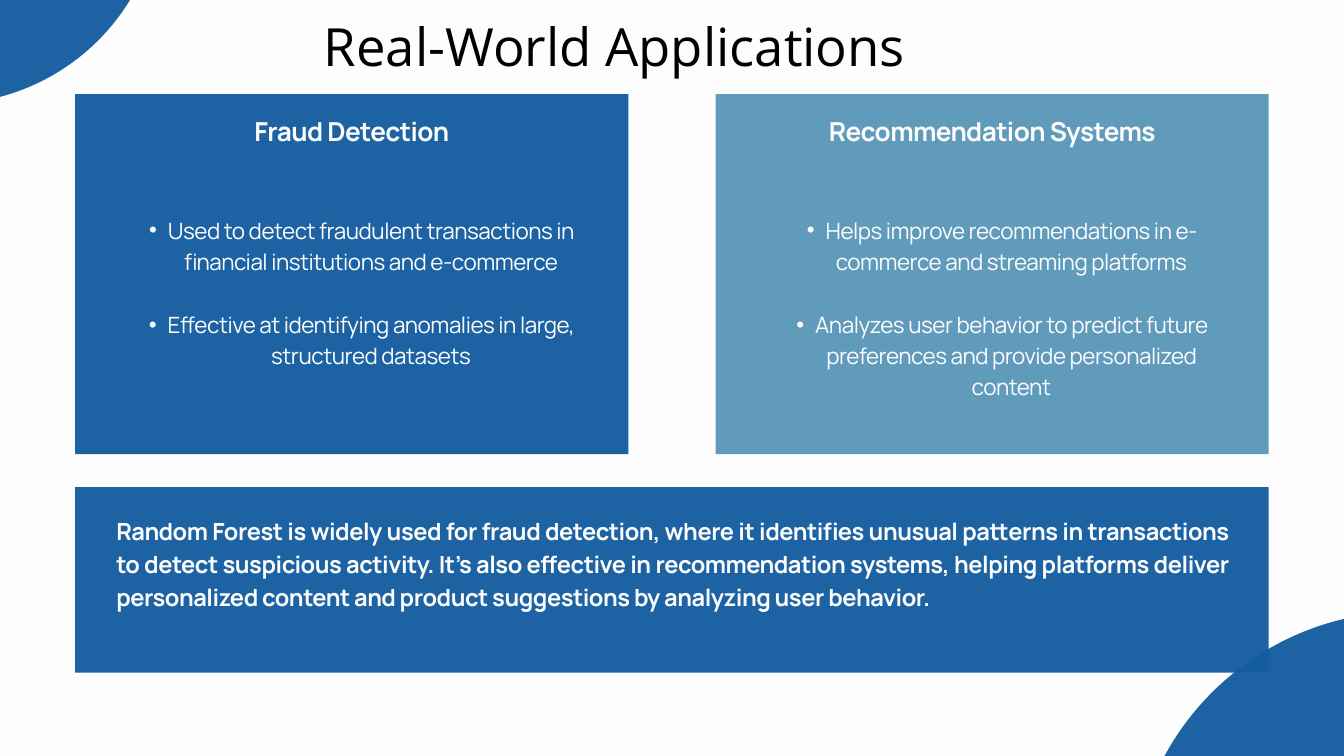
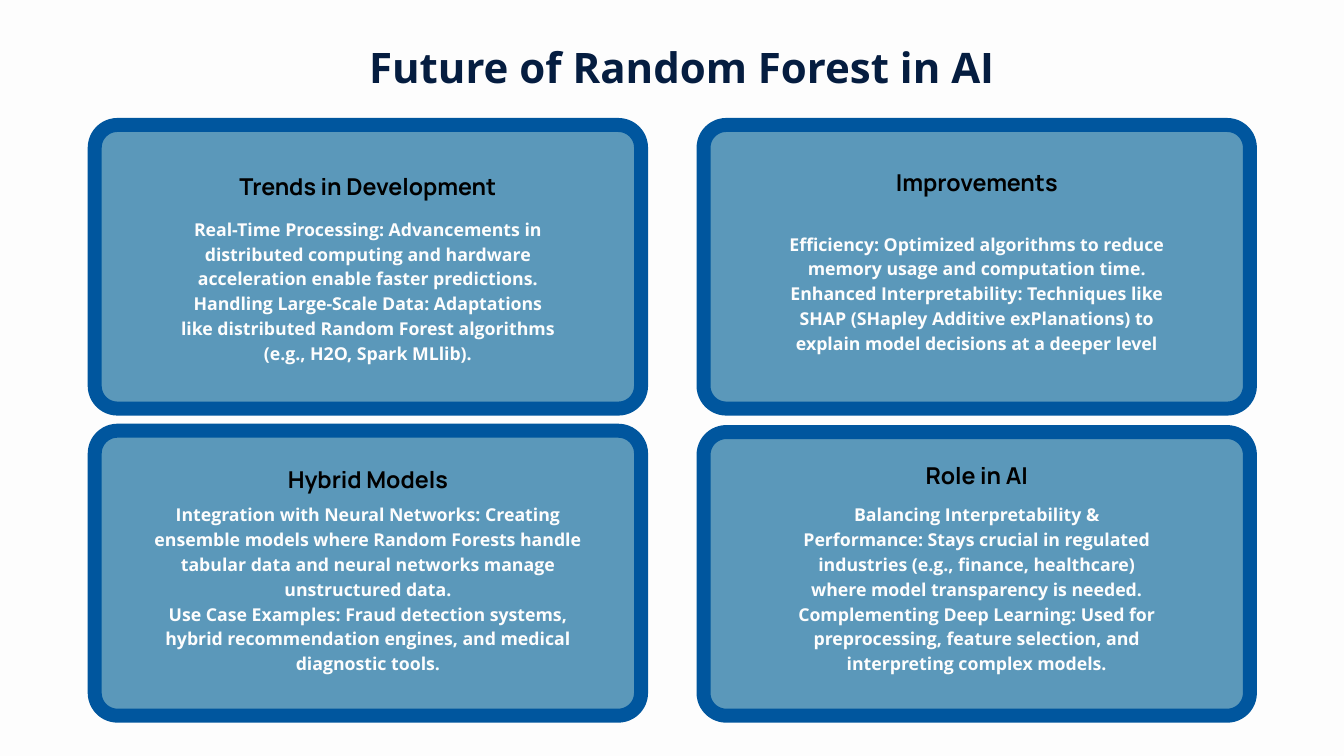
from lxml.etree import SubElement
from pptx import Presentation
from pptx.dml.color import RGBColor
from pptx.enum.shapes import MSO_SHAPE
from pptx.enum.text import MSO_ANCHOR, MSO_AUTO_SIZE, PP_ALIGN
from pptx.oxml.ns import qn
from pptx.util import Inches, Pt

# Shared colours and fonts
BLUE, LIGHT_BLUE, BORDER = "145DA0", "5B98BA", "00569E"
NAVY, BLACK, WHITE = "051D40", "000000", "FDFDFD"
TEXT_FONT, TITLE_FONT = "Manrope", "Open Sans"

TWO_CONTENT, TITLE_ONLY = 3, 5
CARD_WIDTH, CARD_HEIGHT, CARD_TOP = 8.23, 5.36, 1.4
LIST_WIDTH = 7.19
PANEL_WIDTH = 8.13

CARDS = [
    (1.12, BLUE, "Fraud Detection", [
        "Used to detect fraudulent transactions in financial institutions and e-commerce",
        "Effective at identifying anomalies in large, structured datasets"]),
    (10.65, LIGHT_BLUE, "Recommendation Systems", [
        "Helps improve recommendations in e-commerce and streaming platforms",
        "Analyzes user behavior to predict future preferences and provide personalized content"]),
]
SUMMARY = (
    "Random Forest is widely used for fraud detection, where it identifies unusual patterns "
    "in transactions to detect suspicious activity. It’s also effective in recommendation "
    "systems, helping platforms deliver personalized content and product suggestions by "
    "analyzing user behavior.")

# Panel left, top, height; heading and its top; body top, width and paragraphs
PANELS = [
    (1.41, 1.86, 4.22, "Trends in Development", 2.49, 3.2, 5.72, [
        "Real-Time Processing: Advancements in distributed computing and hardware "
        "acceleration enable faster predictions.",
        "Handling Large-Scale Data: Adaptations like distributed Random Forest "
        "algorithms (e.g., H2O, Spark MLlib)."]),
    (10.47, 1.86, 4.22, "Improvements", 2.43, 3.42, 5.92, [
        "Efficiency: Optimized algorithms to reduce memory usage and computation time.",
        "Enhanced Interpretability: Techniques like SHAP (SHapley Additive exPlanations) "
        "to explain model decisions at a deeper level"]),
    (1.41, 6.41, 4.24, "Hybrid Models", 6.85, 7.45, 6.41, [
        "Integration with Neural Networks: Creating ensemble models where Random Forests "
        "handle tabular data and neural networks manage unstructured data.",
        "Use Case Examples: Fraud detection systems, hybrid recommendation engines, and "
        "medical diagnostic tools."]),
    (10.47, 6.43, 4.22, "Role in AI", 6.8, 7.45, 5.47, [
        "Balancing Interpretability & Performance: Stays crucial in regulated industries "
        "(e.g., finance, healthcare) where model transparency is needed.",
        "Complementing Deep Learning: Used for preprocessing, feature selection, and "
        "interpreting complex models."]),
]


def color(hex_string):
    return RGBColor.from_string(hex_string)


def add_filled_shape(slide, kind, left, top, width, height, fill, opacity=100):
    shape = slide.shapes.add_shape(
        kind, Inches(left), Inches(top), Inches(width), Inches(height))
    shape.shadow.inherit = False
    shape.fill.solid()
    shape.fill.fore_color.rgb = color(fill)
    shape.line.fill.background()
    if opacity < 100:
        fill_color = shape._element.spPr.xpath("./a:solidFill/a:srgbClr")[0]
        SubElement(fill_color, qn("a:alpha")).set("val", str(opacity * 1000))
    return shape


def add_bullet(paragraph):
    properties = paragraph._p.get_or_add_pPr()
    properties.set("marL", str(Inches(0.57)))
    properties.set("indent", str(Inches(-0.28)))
    SubElement(properties, qn("a:buChar")).set("char", "•")


def write(shape, texts, size, line_spacing, font=TEXT_FONT, fill=WHITE, bold=False,
          align=PP_ALIGN.CENTER, tracking=0, bullets=False, gap=0):
    """Fill a text box or placeholder with uniformly formatted paragraphs."""
    frame = shape.text_frame
    frame.word_wrap = True
    frame.auto_size = MSO_AUTO_SIZE.NONE
    frame.vertical_anchor = MSO_ANCHOR.TOP
    frame.margin_left = frame.margin_right = frame.margin_top = frame.margin_bottom = 0
    for index, text in enumerate(texts):
        paragraph = frame.paragraphs[0] if index == 0 else frame.add_paragraph()
        paragraph.text = text
        if bullets:
            add_bullet(paragraph)
        paragraph.alignment = align
        paragraph.line_spacing = Pt(line_spacing)
        paragraph.space_before = Pt(gap if index else 0)
        paragraph.font.name = font
        paragraph.font.size = Pt(size)
        paragraph.font.bold = bold
        paragraph.font.color.rgb = color(fill)
        if tracking:
            paragraph.font._element.set("spc", str(round(tracking * 100)))


def add_text(slide, left, top, width, height, texts, size, line_spacing, **style):
    box = slide.shapes.add_textbox(
        Inches(left), Inches(top), Inches(width), Inches(height))
    write(box, texts, size, line_spacing, **style)


def place(shape, left, top, width, height):
    """Move a placeholder and bring it in front of what is drawn so far."""
    shape.left, shape.top = Inches(left), Inches(top)
    shape.width, shape.height = Inches(width), Inches(height)
    shape._element.getparent().append(shape._element)


def set_title(slide, text, bounds, size, line_spacing, **style):
    place(slide.shapes.title, *bounds)
    write(slide.shapes.title, [text], size, line_spacing, font=TITLE_FONT, **style)


def add_card(slide, placeholder, left, fill, heading, points):
    add_filled_shape(slide, MSO_SHAPE.RECTANGLE, left, CARD_TOP,
                     CARD_WIDTH, CARD_HEIGHT, fill, opacity=96)
    add_text(slide, left, 1.64, CARD_WIDTH, 1.1, [heading], 28, 39.2,
             bold=True, tracking=-0.6)
    place(placeholder, left + (CARD_WIDTH - LIST_WIDTH) / 2, 3.16, LIST_WIDTH, 3.6)
    write(placeholder, points, 24, 33.6, tracking=-0.5, bullets=True, gap=33.6)


def add_panel(slide, left, top, height, heading, heading_top, body_top, body_width, body):
    panel = add_filled_shape(slide, MSO_SHAPE.ROUNDED_RECTANGLE, left, top,
                             PANEL_WIDTH, height, LIGHT_BLUE)
    panel.adjustments[0] = 0.08
    panel.line.color.rgb = color(BORDER)
    panel.line.width = Pt(15)
    add_text(slide, left, heading_top, PANEL_WIDTH, 0.48, [heading], 24.9, 34.8,
             fill=BLACK, bold=True)
    add_text(slide, left + (PANEL_WIDTH - body_width) / 2, body_top, body_width, 2.54,
             body, 19, 26.6, font=TITLE_FONT, bold=True)


def build_applications(presentation):
    slide = presentation.slides.add_slide(presentation.slide_layouts[TWO_CONTENT])
    set_title(slide, "Real-World Applications", (4.82, 0.05, 10.95, 1.06), 56.4, 79,
              fill=BLACK, align=PP_ALIGN.LEFT)
    # Corner circles
    for left, top, diameter in [(16.83, 9.1, 8.23), (-4.07, -4.93, 6.48)]:
        add_filled_shape(slide, MSO_SHAPE.OVAL, left, top, diameter, diameter,
                         BLUE, opacity=96)
    # Application cards
    lists = [shape for shape in slide.placeholders if shape.placeholder_format.idx > 0]
    for placeholder, card in zip(lists, CARDS):
        add_card(slide, placeholder, *card)
    # Summary band
    add_filled_shape(slide, MSO_SHAPE.RECTANGLE, 1.12, 7.25, 17.76, 2.76, BLUE, opacity=96)
    add_text(slide, 1.73, 7.62, 16.55, 1.97, [SUMMARY], 25.3, 35.4,
             bold=True, align=PP_ALIGN.JUSTIFY, tracking=-0.5)


def build_future(presentation):
    slide = presentation.slides.add_slide(presentation.slide_layouts[TITLE_ONLY])
    set_title(slide, "Future of Random Forest in AI", (5.35, 0.49, 9.59, 0.84), 45, 63,
              fill=NAVY, bold=True)
    for panel in PANELS:
        add_panel(slide, *panel)


def main():
    presentation = Presentation()
    presentation.slide_width, presentation.slide_height = Inches(20), Inches(11.25)
    background = presentation.slide_master.background.fill
    background.solid()
    background.fore_color.rgb = color(WHITE)
    build_applications(presentation)
    build_future(presentation)
    presentation.save("out.pptx")


if __name__ == "__main__":
    main()
